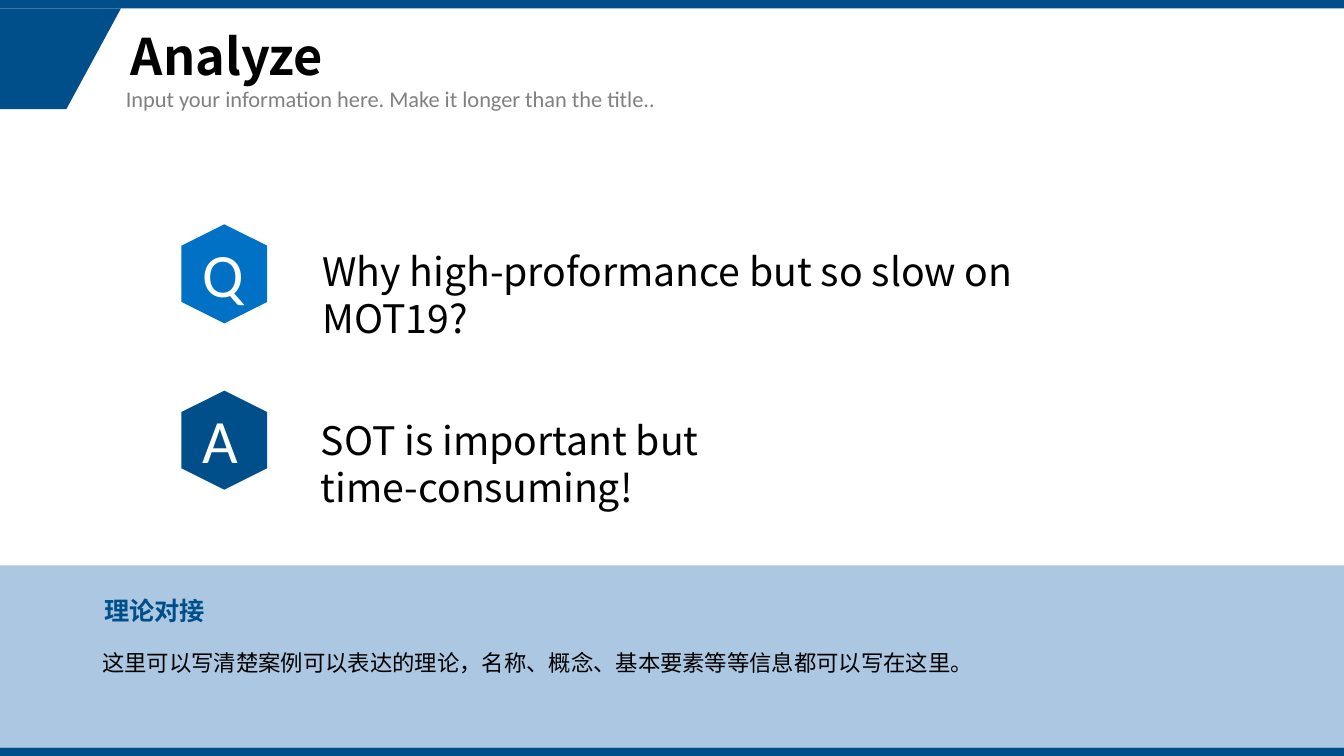
from dataclasses import dataclass
from lxml import etree
from pptx import Presentation
from pptx import util as u
from pptx.dml.color import RGBColor
from pptx.enum import shapes, text
from pptx.oxml import ns


@dataclass(frozen=True)
class Theme:
    navy: str = "004F8A"
    blue: str = "0171C5"
    band: str = "2E75B6"
    black: str = "000000"
    grey: str = "808080"
    white: str = "FFFFFF"
    latin: str = "Calibri"
    cjk: str = "Noto Sans CJK SC"
    title: int = 36
    letter: int = 44
    statement: int = 28
    heading: int = 18
    body: int = 16


class SlideBuilder:
    COLUMNS, ROWS = 160, 90

    def __init__(self, deck, theme):
        self.theme = theme
        self.slide = deck.slides.add_slide(deck.slide_layouts[6])
        self.column = deck.slide_width / self.COLUMNS
        self.row = deck.slide_height / self.ROWS

    def place(self, left, top, width, height):
        return (u.Emu(round(left * self.column)), u.Emu(round(top * self.row)),
                u.Emu(round(width * self.column)), u.Emu(round(height * self.row)))

    def paint(self, figure, color, opacity=None):
        figure.shadow.inherit = False
        figure.fill.solid()
        figure.fill.fore_color.rgb = RGBColor.from_string(color)
        figure.line.fill.background()
        if opacity:
            tint = figure.fill._xPr.find(".//" + ns.qn("a:srgbClr"))
            etree.SubElement(tint, ns.qn("a:alpha"), val=str(opacity * 1000))

    def bar(self, top, height, color, opacity=None):
        bar = self.slide.shapes.add_shape(
            shapes.MSO_SHAPE.RECTANGLE, *self.place(0, top, self.COLUMNS, height))
        self.paint(bar, color, opacity)

    def outline(self, points, color):
        corners = [self.place(x, y, 0, 0)[:2] for x, y in points]
        builder = self.slide.shapes.build_freeform(*corners[0], scale=1.0)
        builder.add_line_segments(corners[1:], close=True)
        self.paint(builder.convert_to_shape(), color)

    def hexagon(self, left, top, color):
        hexagon = self.slide.shapes.add_shape(
            shapes.MSO_SHAPE.HEXAGON, *self.place(left, top, 11.8, 10.2))
        hexagon.rotation = 90
        hexagon.adjustments[0] = 0.25
        hexagon.adjustments[1] = 1.155
        self.paint(hexagon, color)

    def label(self, words, area, size, color, face, bold=False, spacing=None, **frame_format):
        frame = self.slide.shapes.add_textbox(*self.place(*area)).text_frame
        for name, value in {"word_wrap": True, **frame_format}.items():
            setattr(frame, name, value)
        paragraph = frame.paragraphs[0]
        paragraph.line_spacing = spacing
        run = paragraph.add_run()
        run.text = words
        for name, value in {"size": u.Pt(size), "name": face, "bold": bold}.items():
            setattr(run.font, name, value)
        run.font.color.rgb = RGBColor.from_string(color)
        east_asian = etree.SubElement(run.font._element, ns.qn("a:ea"))
        east_asian.set("typeface", face)


def main():
    deck = Presentation()
    deck.slide_width, deck.slide_height = u.Inches(13.33), u.Inches(7.5)
    theme = Theme()
    page = SlideBuilder(deck, theme)

    page.outline([(0, 1), (14.4, 1), (7.9, 13), (0, 13)], theme.navy)
    for edge in (0, page.ROWS - 1):
        page.bar(edge, 1, theme.navy)
    page.bar(67.3, 21.7, theme.band, opacity=40)

    page.label("Analyze", (14.4, 1, 134.7, 12), theme.title, theme.black, theme.cjk,
               bold=True, spacing=0.9, vertical_anchor=text.MSO_ANCHOR.MIDDLE)
    page.label("Input your information here. Make it longer than the title..",
               (13.8, 9.6, 93.6, 4.3), theme.body, theme.grey, theme.latin)

    page.label("Why high-proformance but so slow on MOT19?",
               (37.2, 28.8, 86.5, 6.7), theme.statement, theme.black, theme.cjk)
    no_margins = dict.fromkeys(
        ("margin_left", "margin_top", "margin_right", "margin_bottom"), 0)
    page.label("SOT is important but time-consuming!", (38.2, 49.6, 50, 6.8),
               theme.statement, theme.black, theme.cjk, word_wrap=False, **no_margins)

    page.label("这里可以写清楚案例可以表达的理论，名称、概念、基本要素等等信息都可以写在这里。",
               (11, 76.7, 138, 4.3), theme.body, theme.black, theme.cjk)
    page.label("理论对接", (11.2, 70.3, 14.4, 4.8), theme.heading, theme.navy, theme.cjk,
               bold=True, word_wrap=False)

    for index, (letter, color) in enumerate((("Q", theme.blue), ("A", theme.navy))):
        top = 27.5 + 19.8 * index
        page.hexagon(20.8, top, color)
        page.label(letter, (23, top, 2.3, 10), theme.letter, theme.white, theme.latin)

    deck.save("out.pptx")


if __name__ == "__main__":
    main()
